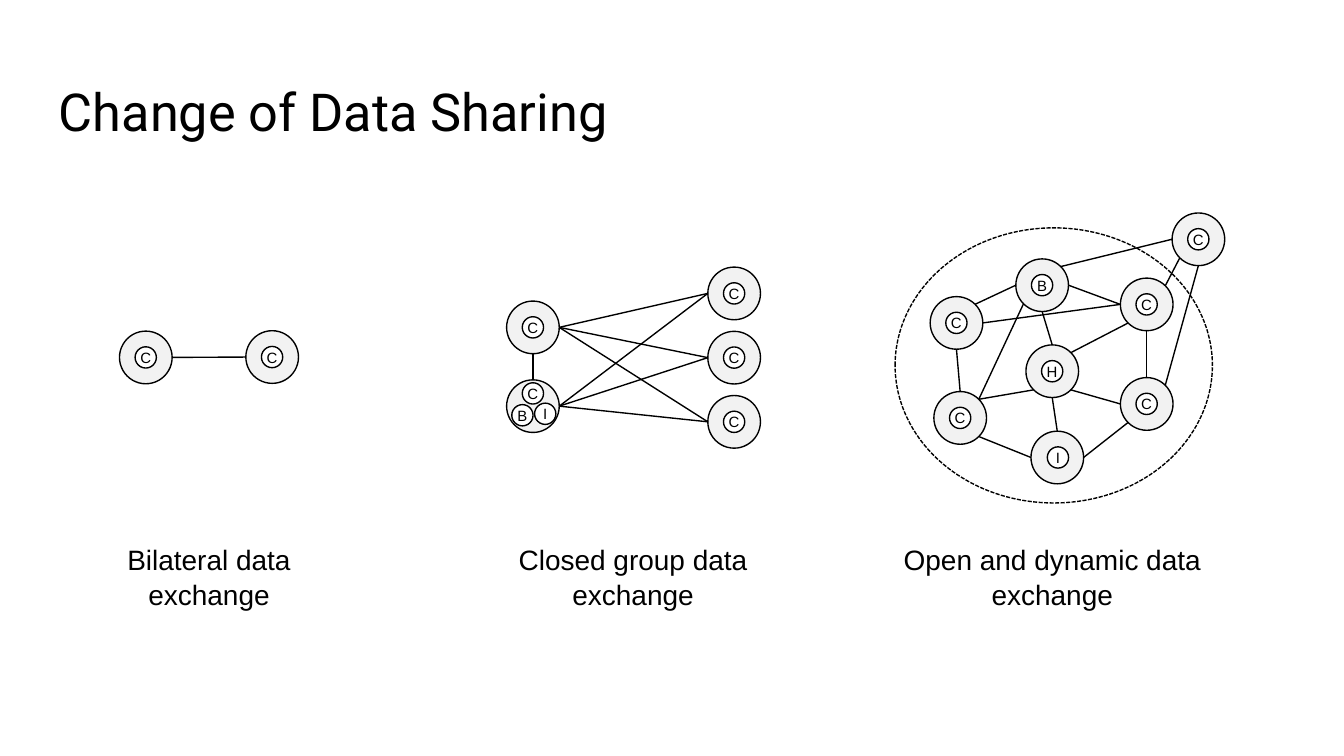
import math

import pptx
import pptx.dml.color
import pptx.enum.dml
import pptx.enum.shapes
import pptx.enum.text
import pptx.oxml
import pptx.util

Pt = pptx.util.Pt
BLACK = pptx.dml.color.RGBColor(0x00, 0x00, 0x00)
WHITE = pptx.dml.color.RGBColor(0xFF, 0xFF, 0xFF)
GREY = pptx.dml.color.RGBColor(0xF2, 0xF2, 0xF2)
OVAL = pptx.enum.shapes.MSO_SHAPE.OVAL
STRAIGHT = pptx.enum.shapes.MSO_CONNECTOR.STRAIGHT
CENTER = pptx.enum.text.PP_ALIGN.CENTER

RADIUS = 14.1
ROLE_RADIUS = 5.7
LINE_WIDTH = 0.75
COMPASS = ["E", "SE", "S", "SW", "W", "NW", "N", "NE"]

TITLE_FONT = {"name": "Roboto", "size": Pt(28)}
CAPTION_FONT = {"name": "Arial", "size": Pt(15)}
ROLE_FONT = {"name": "Arial", "size": Pt(8)}
ROLE_FRAME = {
    "margin_left": 0, "margin_top": 0, "margin_right": 0, "margin_bottom": 0,
    "word_wrap": False, "vertical_anchor": pptx.enum.text.MSO_ANCHOR.MIDDLE,
}
CAPTION_FRAME = {
    "word_wrap": True,
    "auto_size": pptx.enum.text.MSO_AUTO_SIZE.SHAPE_TO_FIT_TEXT,
}
TITLE_FRAME = {
    "word_wrap": True, "margin_left": Pt(7.2), "margin_top": Pt(7.2),
    "margin_right": Pt(7.2), "margin_bottom": Pt(7.2),
}


def write(shape, words, frame_format, font_format, alignment=None):
    frame = shape.text_frame
    for name, value in frame_format.items():
        setattr(frame, name, value)
    paragraph = frame.paragraphs[0]
    paragraph.alignment = alignment
    run = paragraph.add_run()
    run.text = words
    for name, value in font_format.items():
        setattr(run.font, name, value)
    run.font.color.rgb = BLACK
    return paragraph


def add_oval(group, center, radius_x, radius_y, fill):
    oval = group.shapes.add_shape(
        OVAL, Pt(center[0] - radius_x), Pt(center[1] - radius_y),
        Pt(2 * radius_x), Pt(2 * radius_y))
    oval.shadow.inherit = False
    oval.fill.solid()
    oval.fill.fore_color.rgb = fill
    oval.line.color.rgb = BLACK
    oval.line.width = Pt(LINE_WIDTH)
    return oval


# Members: centre and the roles inside, each with its offset from the centre.
# Links: member and compass side at both ends.
bilateral = {
    "caption": ("Bilateral data exchange", 49.7, 124.6),
    "members": {
        "left": ((78.1, 191.5), [("C", 0, 0)]),
        "right": ((145.8, 191.3), [("C", 0, 0)]),
    },
    "links": ["left E right W"],
}

closed_group = {
    "caption": ("Closed group data exchange", 254.2, 169.9),
    "members": {
        "upper": ((285.5, 175.4), [("C", 0, 0)]),
        "lower": ((285.5, 217.6),
                  [("C", 0, -6.8), ("B", -5.6, 4.9), ("I", 6.6, 4.1)]),
    },
    "links": ["upper S lower N"],
}
for row in range(3):
    partner = f"partner{row}"
    closed_group["members"][partner] = ((393.3, 157.2 + 34.4 * row), [("C", 0, 0)])
    for source in ("upper", "lower"):
        closed_group["links"].append(f"{source} E {partner} W")

open_network = {
    "caption": ("Open and dynamic data exchange", 468, 191.5),
    "boundary": ((564.5, 195.8), 85, 73.7),
    "members": {
        "northeast": ((614.3, 163.1), [("C", 0, 0)]),
        "broker": ((558.3, 152.8), [("B", 0, 0)]),
        "intermediary": ((566.4, 245.1), [("I", 0.4, 0)]),
        "northwest": ((512.4, 173), [("C", 0, 0)]),
        "southeast": ((614.3, 216.4), [("C", 0, 0)]),
        "hub": ((563.7, 198.9), [("H", 0, 0)]),
        "southwest": ((514.4, 223.9), [("C", 0, 0)]),
        "newcomer": ((642, 128.2), [("C", 0, 0)]),
    },
    "links": [
        "northwest NE broker W", "broker S hub N", "hub NE northeast SW",
        "newcomer W broker NE", "newcomer SW northeast NE",
        "northeast S southeast N", "hub SE southeast W",
        "hub SW southwest NE", "northwest S southwest N",
        "intermediary W southwest SE", "southeast SW intermediary E",
        "hub S intermediary N", "broker SW southwest NE",
        "broker E northeast W", "northeast W northwest E",
        "newcomer S southeast NE",
    ],
}

presentation = pptx.Presentation()
presentation.slide_width = Pt(720)
presentation.slide_height = Pt(405)
slide = presentation.slides.add_slide(presentation.slide_layouts[6])

title = slide.shapes.add_textbox(Pt(24.5), Pt(35.3), Pt(671), Pt(45.4))
write(title, "Change of Data Sharing", TITLE_FRAME, TITLE_FONT)

for model in (bilateral, closed_group, open_network):
    words, left, width = model["caption"]
    caption = slide.shapes.add_textbox(Pt(left), Pt(285.8), Pt(width), Pt(43.9))
    paragraph = write(caption, words, CAPTION_FRAME, CAPTION_FONT, CENTER)
    paragraph.line_spacing = 1.06

    group = slide.shapes.add_group_shape()
    if "boundary" in model:
        boundary = add_oval(group, *model["boundary"], WHITE)
        # SQUARE_DOT is stored as sysDot, so the short dash is set directly.
        boundary.line.dash_style = pptx.enum.dml.MSO_LINE.SQUARE_DOT
        boundary.line._get_or_add_ln().prstDash.set("val", "sysDash")

    for center, roles in model["members"].values():
        add_oval(group, center, RADIUS, RADIUS, GREY)
        for letter, dx, dy in roles:
            role_center = (center[0] + dx, center[1] + dy)
            role = add_oval(group, role_center, ROLE_RADIUS, ROLE_RADIUS, WHITE)
            write(role, letter, ROLE_FRAME, ROLE_FONT, CENTER)

    for link in model["links"]:
        source, source_side, target, target_side = link.split()
        ends = []
        for member, side in ((source, source_side), (target, target_side)):
            center = model["members"][member][0]
            angle = math.radians(45 * COMPASS.index(side))
            ends.append(Pt(center[0] + RADIUS * math.cos(angle)))
            ends.append(Pt(center[1] + RADIUS * math.sin(angle)))
        connector = group.shapes.add_connector(STRAIGHT, *ends)
        connector.line.color.rgb = BLACK
        connector.line.width = Pt(LINE_WIDTH)
        connector._element.spPr.append(pptx.oxml.parse_xml(
            '<a:effectLst xmlns:a="http://schemas.openxmlformats.org/drawingml/2006/main"/>'))

presentation.save("out.pptx")
